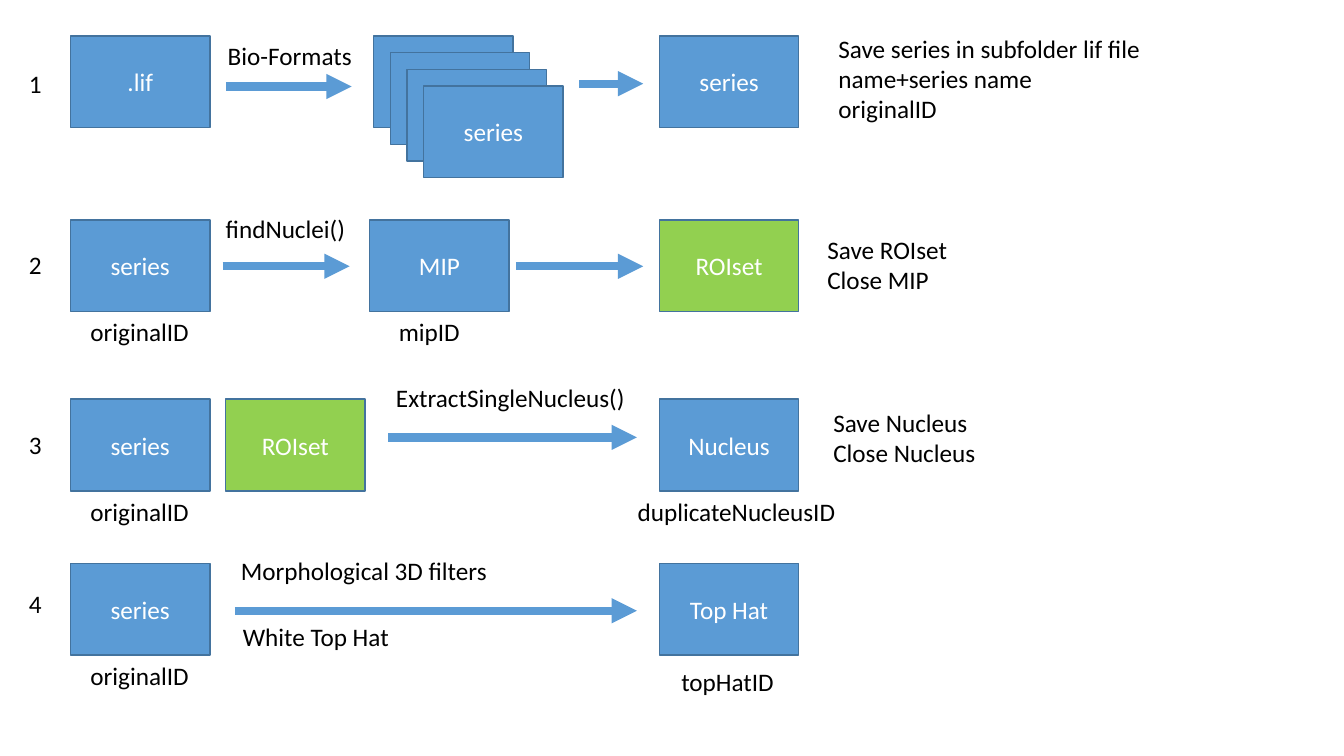
"""Build a slide that charts four steps of a nucleus image workflow."""
from typing import NamedTuple

from lxml import etree
from pptx import Presentation
from pptx.dml.color import RGBColor
from pptx.enum.shapes import MSO_CONNECTOR, MSO_SHAPE
from pptx.enum.text import MSO_ANCHOR, MSO_AUTO_SIZE, PP_ALIGN
from pptx.oxml.ns import qn
from pptx.util import Cm, Pt

RECT = MSO_SHAPE.RECTANGLE
STRAIGHT = MSO_CONNECTOR.STRAIGHT
MIDDLE = MSO_ANCHOR.MIDDLE
CENTER = PP_ALIGN.CENTER
GROW = MSO_AUTO_SIZE.SHAPE_TO_FIT_TEXT

BLUE, EDGE, GREEN = "5B9BD5", "43739E", "92D050"
WHITE, BLACK = "FFFFFF", "000000"
FONT, SIZE = "Calibri", 18
WIDE, HIGH = 3.51, 2.31
LINE, PAD = 0.77, 0.26
LEFT, RIGHT = 1.78, 16.62
ROWS = (0.91, 5.54, 10.06, 14.2)
STEP = 0.42


class Box(NamedTuple):
    text: str
    x: float
    y: float
    fill: str = BLUE


class Label(NamedTuple):
    text: str
    x: float
    y: float
    width: float
    wrap: bool = False
    lines: int = 1


class Arrow(NamedTuple):
    start: float
    end: float
    y: float


BOXES = [
    Box(".lif", LEFT, ROWS[0]),
    *[Box("series", 9.42 + i * STEP, ROWS[0] + i * STEP) for i in range(4)],
    Box("series", RIGHT, ROWS[0]),
    *[Box("series", LEFT, top) for top in ROWS[1:]],
    Box("MIP", 9.32, ROWS[1]),
    Box("ROIset", RIGHT, ROWS[1], GREEN),
    Box("ROIset", 5.69, ROWS[2], GREEN),
    Box("Nucleus", RIGHT, ROWS[2]),
    Box("Top Hat", RIGHT, ROWS[3]),
]

LABELS = [
    *[Label(str(i), 0.48, y, 0.84)
      for i, y in enumerate((1.6, 6.15, 10.69, 14.71), 1)],
    *[Label("originalID", 2.03, top + HIGH, 3.02) for top in ROWS[1:]],
    Label("mipID", 9.8, ROWS[1] + HIGH, 2.06),
    Label("duplicateNucleusID", 15.82, ROWS[2] + HIGH, 5.56),
    Label("topHatID", 16.92, 16.66, 2.87),
    Label("Bio-Formats", 5.49, 0.89, 3.66),
    Label("findNuclei()", 5.44, 5.26, 3.56),
    Label("ExtractSingleNucleus()", 9.73, 9.5, 6.35),
    Label("Morphological 3D filters", 5.82, 13.87, 6.78),
    Label("White Top Hat", 5.87, 15.54, 4.24),
    Label("Save series in subfolder lif file name+series name\noriginalID",
          20.88, 0.71, 10.46, True, 3),
    Label("Save ROIset\nClose MIP", 20.6, 5.77, 3.56, lines=2),
    Label("Save Nucleus\nClose Nucleus", 20.75, 10.13, 4.14, lines=2),
]

ARROWS = [
    Arrow(5.69, 8.86, 2.18),
    Arrow(14.6, 16.21, 2.11),
    Arrow(5.61, 8.81, 6.71),
    Arrow(13, 16.21, 6.71),
    Arrow(9.78, 16.05, 11.02),
    Arrow(5.92, 16.05, 15.39),
]


def paint(target, code: str) -> None:
    """Give a fill, line fill or font a solid colour."""
    if hasattr(target, "solid"):
        target.solid()
        target = target.fore_color
    else:
        target = target.color
    target.rgb = RGBColor.from_string(code)


def write(frame, text: str, color: str) -> None:
    """Set the text of a frame and format its runs."""
    frame.text = text
    for para in frame.paragraphs:
        for run in para.runs:
            run.font.name = FONT
            run.font.size = Pt(SIZE)
            paint(run.font, color)


def draw_box(slide, box: Box) -> None:
    """Draw one filled box with centred text."""
    shape = slide.shapes.add_shape(
        RECT, Cm(box.x), Cm(box.y), Cm(WIDE), Cm(HIGH))
    shape.shadow.inherit = False
    paint(shape.fill, box.fill)
    paint(shape.line.fill, EDGE)
    shape.line.width = Pt(1)
    frame = shape.text_frame
    write(frame, box.text, WHITE)
    frame.vertical_anchor = MIDDLE
    frame.paragraphs[0].alignment = CENTER


def draw_label(slide, label: Label) -> None:
    """Draw one text label that grows with its lines."""
    high = label.lines * LINE + PAD
    shape = slide.shapes.add_textbox(
        Cm(label.x), Cm(label.y), Cm(label.width), Cm(high))
    frame = shape.text_frame
    write(frame, label.text, BLACK)
    frame.word_wrap = label.wrap
    frame.auto_size = GROW


def draw_arrow(slide, arrow: Arrow) -> None:
    """Draw one thick level arrow."""
    y = Cm(arrow.y)
    link = slide.shapes.add_connector(
        STRAIGHT, Cm(arrow.start), y, Cm(arrow.end), y)
    paint(link.line.fill, BLUE)
    link.line.width = Pt(6)
    props = link._element.spPr
    head = etree.SubElement(props.find(qn("a:ln")), qn("a:tailEnd"))
    head.set("type", "triangle")
    etree.SubElement(props, qn("a:effectLst"))


def main() -> None:
    """Build and save the slide."""
    deck = Presentation()
    deck.slide_width, deck.slide_height = Cm(33.87), Cm(19.05)
    slide = deck.slides.add_slide(deck.slide_layouts[6])
    for box in BOXES:
        draw_box(slide, box)
    for arrow in ARROWS:
        draw_arrow(slide, arrow)
    for label in LABELS:
        draw_label(slide, label)
    deck.save("out.pptx")


main()
